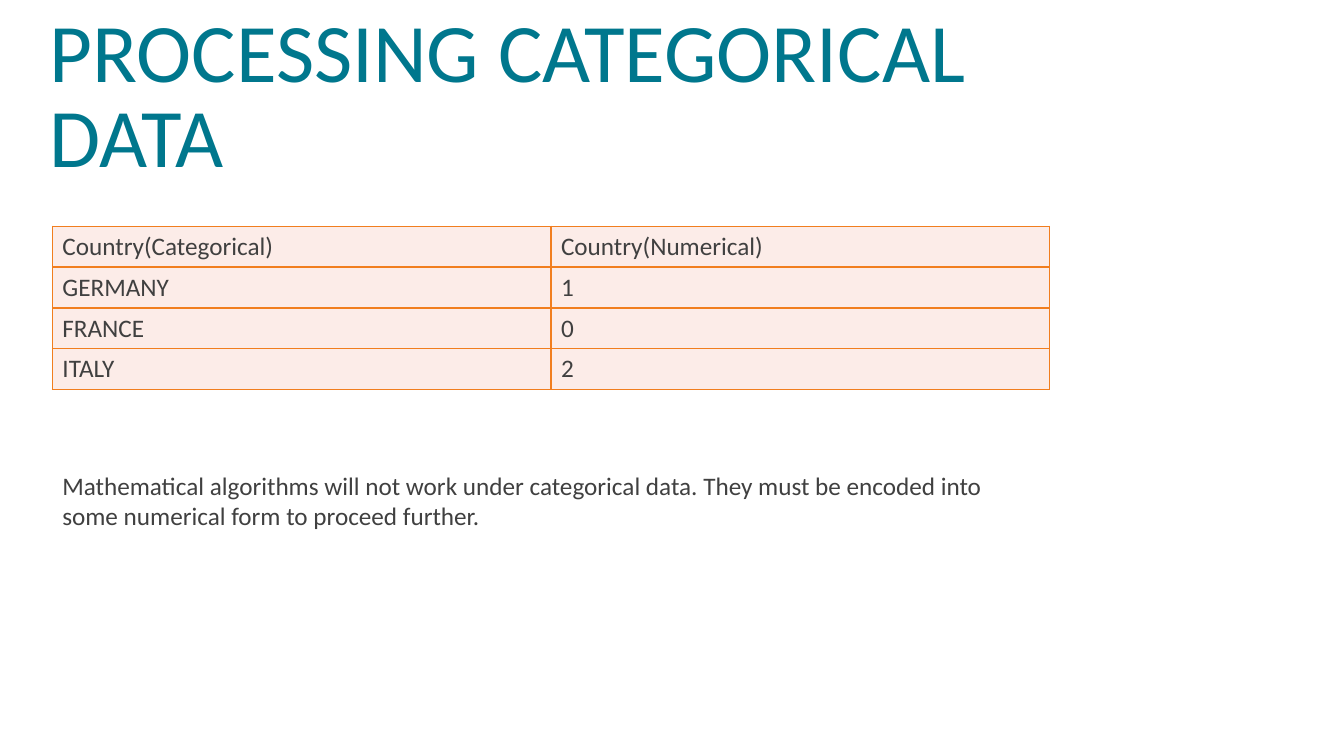
from dataclasses import dataclass

from lxml.etree import SubElement as Sub
from pptx import Presentation
from pptx.dml.color import RGBColor as RGB
from pptx.enum.text import MSO_ANCHOR as Anchor, MSO_AUTO_SIZE as Fit
from pptx.oxml.ns import qn
from pptx.util import Cm, Pt


@dataclass(frozen=True)
class Theme:
    """Hold the colours, font and type sizes."""
    font: str = "Calibri"
    title: str = "00778D"
    ink: str = "404040"
    fill: str = "FCECE8"
    edge: str = "F17E1F"
    big: float = 59.4
    body: float = 18
    line: float = 1


class Page:
    """Draw styled elements on one slide."""

    def __init__(self, slide, theme):
        """Keep the slide and its theme."""
        self.slide, self.theme = slide, theme

    def label(self, frame, text, size, color):
        """Put styled text in a frame."""
        para = frame.paragraphs[0]
        run = para.add_run()
        run.text = text
        form = {"name": self.theme.font, "size": Pt(size), "bold": False}
        for key, value in form.items():
            setattr(run.font, key, value)
        run.font.color.rgb = RGB.from_string(color)
        return para

    def text(self, box, text, size, color, space=1.0, **form):
        """Add a wrapped text box."""
        frame = self.slide.shapes.add_textbox(*map(Cm, box)).text_frame
        for key, value in {"word_wrap": True, **form}.items():
            setattr(frame, key, value)
        self.label(frame, text, size, color).line_spacing = space

    def border(self, cell):
        """Outline a cell on all four sides."""
        props = cell._tc.get_or_add_tcPr()
        for spot, side in enumerate(("a:lnL", "a:lnR", "a:lnT", "a:lnB")):
            line = Sub(props, qn(side), w=str(Pt(self.theme.line)))
            props.insert(spot, line)
            Sub(Sub(line, qn("a:solidFill")), qn("a:srgbClr"), val=self.theme.edge)

    def table(self, box, rows):
        """Add a filled and bordered table."""
        theme = self.theme
        grid = self.slide.shapes.add_table(len(rows), len(rows[0]), *map(Cm, box)).table
        for key in ("first_row", "horz_banding"):
            setattr(grid, key, False)
        for cell, text in zip(grid.iter_cells(), sum(rows, ())):
            cell.vertical_anchor = Anchor.MIDDLE
            cell.fill.solid()
            cell.fill.fore_color.rgb = RGB.from_string(theme.fill)
            self.label(cell.text_frame, text, theme.body, theme.ink)
            self.border(cell)


def main():
    """Build and save the slide."""
    deck = Presentation()
    for key, value in {"slide_width": Cm(33.87), "slide_height": Cm(19.05)}.items():
        setattr(deck, key, value)
    theme = Theme()
    page = Page(deck.slides.add_slide(deck.slide_layouts[6]), theme)
    left, wide = 1.32, 25.13
    page.text((1, 2.18, 24.13, 2.6), "PROCESSING CATEGORICAL DATA", theme.big,
              theme.title, 0.85, vertical_anchor=Anchor.BOTTOM)
    page.table((left, 5.7, wide, 4.12), [
        ("Country(Categorical)", "Country(Numerical)"),
        ("GERMANY", "1"),
        ("FRANCE", "0"),
        ("ITALY", "2"),
    ])
    page.text((left, 11.73, wide, 1.8),
              "Mathematical algorithms will not work under categorical data. "
              "They must be encoded into some numerical form to proceed further.",
              theme.body, theme.ink, auto_size=Fit.SHAPE_TO_FIT_TEXT)
    deck.save("out.pptx")


if __name__ == "__main__":
    main()
